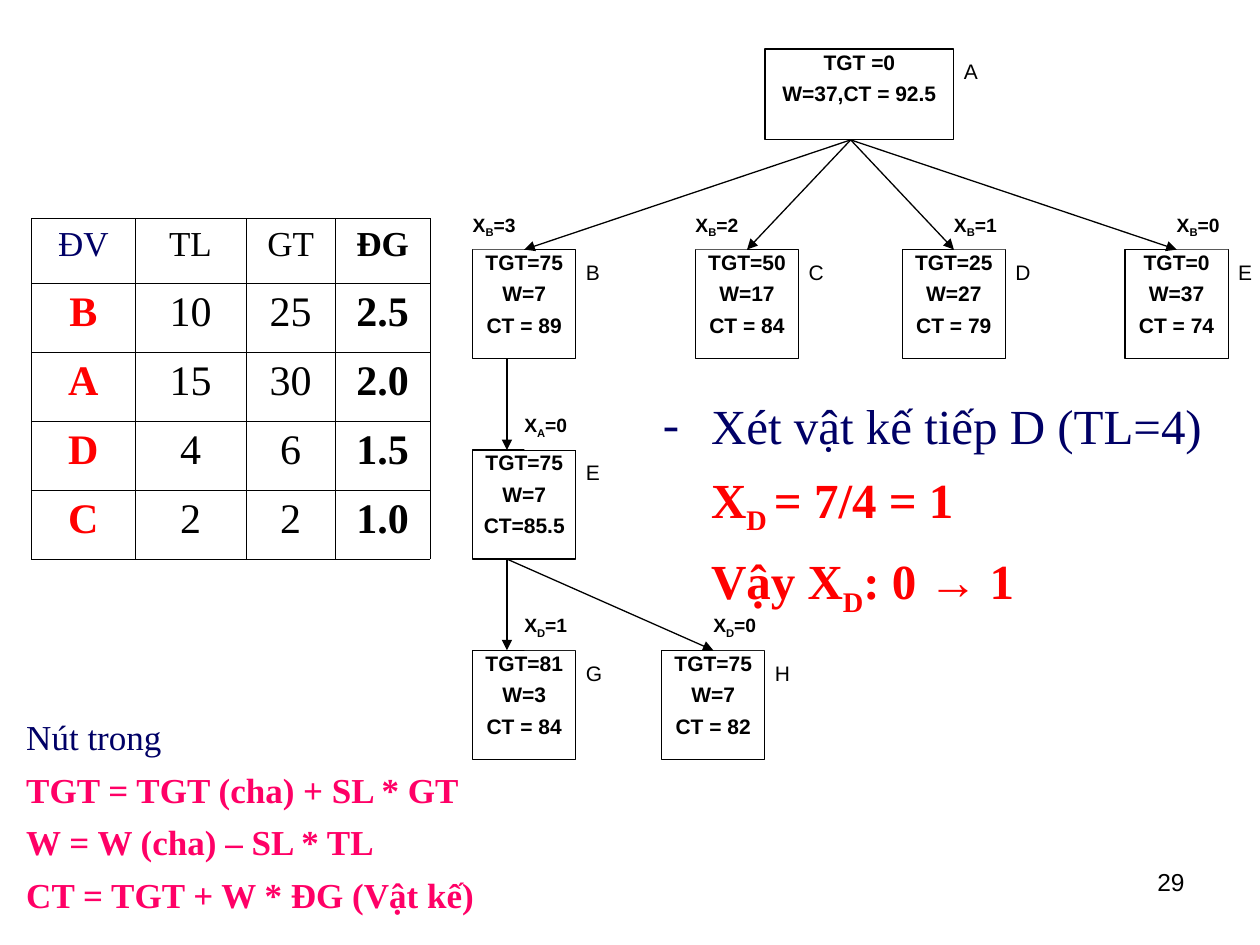
from lxml import etree
from pptx import Presentation
from pptx.dml.color import RGBColor
from pptx.enum.shapes import MSO_CONNECTOR, MSO_SHAPE
from pptx.enum.text import MSO_ANCHOR, MSO_AUTO_SIZE, PP_ALIGN
from pptx.oxml.ns import qn
from pptx.util import Cm, Pt

RECTANGLE = MSO_SHAPE.RECTANGLE
STRAIGHT = MSO_CONNECTOR.STRAIGHT
TOP = MSO_ANCHOR.TOP
NO_AUTOFIT = MSO_AUTO_SIZE.NONE
LEFT, CENTER, RIGHT = PP_ALIGN.LEFT, PP_ALIGN.CENTER, PP_ALIGN.RIGHT

COLORS = {"black": "000000", "white": "FFFFFF", "navy": "000066",
          "red": "FF0000", "pink": "FF0066"}
SANS, SERIF = "Arial", "Times New Roman"

NODE_W, NODE_H = 2.08, 2.2
LEVEL_TOPS = [5.03 + 4.04 * level for level in range(3)]
EDGE_W, LABEL_H = 1.04, 0.74
STEM = 0.69  # distance of a vertical arrow from the left side of its node

# tag, left, level, text lines, subscript and value of X, label offset, arrow start, arrow end offset
ROOT_EXIT = (17.15, LEVEL_TOPS[0] - 2.21)
B_EXIT, E_EXIT = [(9.53 + STEM, top + NODE_H) for top in LEVEL_TOPS[:2]]
HALF = NODE_W / 2
NODES = [
    ("B", 9.53, 0, ["TGT=75", "W=7", "CT = 89"], "B", "=3", 0, ROOT_EXIT, HALF),
    ("C", 14.02, 0, ["TGT=50", "W=17", "CT = 84"], "B", "=2", 0, ROOT_EXIT, HALF),
    ("D", 18.19, 0, ["TGT=25", "W=27", "CT = 79"], "B", "=1", HALF, ROOT_EXIT, HALF),
    ("E", 22.68, 0, ["TGT=0", "W=37", "CT = 74"], "B", "=0", HALF, ROOT_EXIT, HALF),
    ("E", 9.53, 1, ["TGT=75", "W=7", "CT=85.5"], "A", "=0", HALF, B_EXIT, STEM),
    ("G", 9.53, 2, ["TGT=81", "W=3", "CT = 84"], "D", "=1", HALF, E_EXIT, STEM),
    ("H", 13.34, 2, ["TGT=75", "W=7", "CT = 82"], "D", "=0", HALF, E_EXIT, HALF),
]

ITEMS = [
    ["ĐV", "TL", "GT", "ĐG"],
    ["B", "10", "25", "2.5"],
    ["A", "15", "30", "2.0"],
    ["D", "4", "6", "1.5"],
    ["C", "2", "2", "1.0"],
]
FORMULAS = ["TGT = TGT (cha) + SL * GT", "W = W (cha) – SL * TL",
            "CT = TGT + W * ÐG (Vật kế)"]


def rgb(name):
    return RGBColor.from_string(COLORS[name])


def add_span(para, text, size, font=SANS, color="black", bold=False, sub=False):
    span = para.add_run()
    span.text = text
    span.font.size, span.font.name, span.font.bold = Pt(size), font, bold
    span.font.color.rgb = rgb(color)
    if sub:
        span._r.get_or_add_rPr().set("baseline", "-25000")


def next_para(frame, index, gap=0, align=LEFT):
    """Return the paragraph at index, with the gap above all but the first."""
    para = frame.add_paragraph() if index else frame.paragraphs[0]
    para.alignment = align
    para.space_before = Pt(gap if index else 0)
    return para


def add_box(slide, left, top, width, height, outlined=False):
    """Add a white rectangle without insets and return its text frame."""
    box = slide.shapes.add_shape(RECTANGLE, Cm(left), Cm(top), Cm(width), Cm(height))
    box.shadow.inherit = False
    box.fill.solid()
    box.fill.fore_color.rgb = rgb("white")
    if outlined:
        box.line.color.rgb = rgb("black")
        box.line.width = Pt(0.75)
    else:
        box.line.fill.background()
    frame = box.text_frame
    frame.word_wrap = True
    frame.vertical_anchor = TOP
    frame.margin_left = frame.margin_right = frame.margin_top = frame.margin_bottom = 0
    return frame


def add_node(slide, left, top, width, height, lines, tag):
    frame = add_box(slide, left, top, width, height, outlined=True)
    for index, line in enumerate(lines):
        add_span(next_para(frame, index, 3.6, CENTER), line, 12, bold=True)
    tag_frame = add_box(slide, left + width + 0.2, top + 0.2, 0.36, LABEL_H)
    add_span(next_para(tag_frame, 0), tag, 12)


def add_arrow(slide, start, end):
    arrow = slide.shapes.add_connector(STRAIGHT, *map(Cm, start + end))
    arrow.line.color.rgb = rgb("black")
    arrow.line.width = Pt(0.75)
    etree.SubElement(arrow.line._get_or_add_ln(), qn("a:tailEnd"), type="triangle")
    etree.SubElement(arrow._element.spPr, qn("a:effectLst"))


def add_edge_label(slide, left, top, subscript, value):
    para = next_para(add_box(slide, left, top, EDGE_W, LABEL_H), 0)
    add_span(para, "X", 11, bold=True)
    add_span(para, subscript, 11, bold=True, sub=True)
    add_span(para, value, 11, bold=True)


def add_tree(slide):
    add_node(slide, 15.42, 0.99, 3.81, 1.83, ["TGT =0", "W=37,CT = 92.5"], "A")
    for tag, left, level, lines, *_ in NODES:
        add_node(slide, left, LEVEL_TOPS[level], NODE_W, NODE_H, lines, tag)
    for _, left, level, *_, start, end_offset in NODES:
        add_arrow(slide, start, (left + end_offset, LEVEL_TOPS[level]))
    for _, left, level, _, subscript, value, offset, *_ in NODES:
        add_edge_label(slide, left + offset, LEVEL_TOPS[level] - LABEL_H, subscript, value)


def add_borders(cell):
    properties = cell._tc.get_or_add_tcPr()
    for side in ("lnL", "lnR", "lnT", "lnB"):
        line = etree.SubElement(properties, qn(f"a:{side}"), w=str(Pt(0.45)))
        fill = etree.SubElement(line, qn("a:solidFill"))
        etree.SubElement(fill, qn("a:srgbClr"), val=COLORS["black"])


def add_item_table(slide):
    widths, heights = [2.08, 2.24, 1.8, 1.91], [1.3] + [1.39] * 4
    table = slide.shapes.add_table(
        len(heights), len(widths), Cm(0.64), Cm(4.41),
        Cm(sum(widths)), Cm(sum(heights))).table
    for column, width in zip(table.columns, widths):
        column.width = Cm(width)
    for r, (row, height) in enumerate(zip(ITEMS, heights)):
        table.rows[r].height = Cm(height)
        for c, text in enumerate(row):
            cell = table.cell(r, c)
            add_borders(cell)
            cell.fill.background()
            color = "black" if c else ("red" if r else "navy")
            bold = c == 3 or (c == 0 and r > 0)
            add_span(next_para(cell.text_frame, 0, align=CENTER), text,
                     24 if r else 20, SERIF, color, bold)


def add_text(slide, left, top, width, height):
    box = slide.shapes.add_textbox(Cm(left), Cm(top), Cm(width), Cm(height))
    box.text_frame.word_wrap = True
    return box.text_frame


def add_formulas(slide):
    frame = add_text(slide, 0.28, 14.3, 10.01, 4.24)
    add_span(next_para(frame, 0), "Nút trong", 20, SERIF, "navy")
    for index, formula in enumerate(FORMULAS, 1):
        add_span(next_para(frame, index, 6), formula, 20, SERIF, "pink", True)


def set_bullet(para, char=None):
    """Start the text at 0.97 cm, behind a hanging bullet if there is one."""
    properties = para._p.get_or_add_pPr()
    properties.set("marL", str(Cm(0.97)))
    properties.set("indent", str(Cm(-0.97) if char else 0))
    if char:
        color = etree.SubElement(properties, qn("a:buClr"))
        etree.SubElement(color, qn("a:srgbClr"), val=COLORS["navy"])
        etree.SubElement(properties, qn("a:buFont"), typeface=SERIF)
        etree.SubElement(properties, qn("a:buChar"), char=char)
    else:
        etree.SubElement(properties, qn("a:buNone"))


def fill_steps(body):
    body.left, body.top, body.width, body.height = map(Cm, (13.11, 7.85, 12.04, 5.54))
    frame = body.text_frame
    frame.auto_size = NO_AUTOFIT
    para = next_para(frame, 0)
    set_bullet(para, "-")
    add_span(para, "Xét vật kế tiếp D (TL=4)", 28, SERIF, "navy")
    results = [
        [("X", SERIF, False), ("D ", SERIF, True), ("= 7/4 = 1", SERIF, False)],
        [("Vậy X", SERIF, False), ("D", SERIF, True), (": 0 ", SERIF, False),
         ("→", SANS, False), (" 1", SERIF, False)],
    ]
    for index, spans in enumerate(results, 1):
        para = next_para(frame, index, 8.4)
        set_bullet(para)
        for text, font, sub in spans:
            add_span(para, text, 28, font, "red", True, sub)


def main():
    deck = Presentation()
    deck.slide_width, deck.slide_height = Cm(25.4), Cm(19.05)
    slide = deck.slides.add_slide(deck.slide_layouts[1])
    title = slide.shapes.title
    title._element.getparent().remove(title._element)
    add_tree(slide)
    add_item_table(slide)
    page_number = add_text(slide, 18.21, 17.35, 5.92, 1.32)
    add_span(next_para(page_number, 0, align=RIGHT), "29", 14)
    add_formulas(slide)
    fill_steps(slide.placeholders[1])
    deck.save("out.pptx")


if __name__ == "__main__":
    main()
